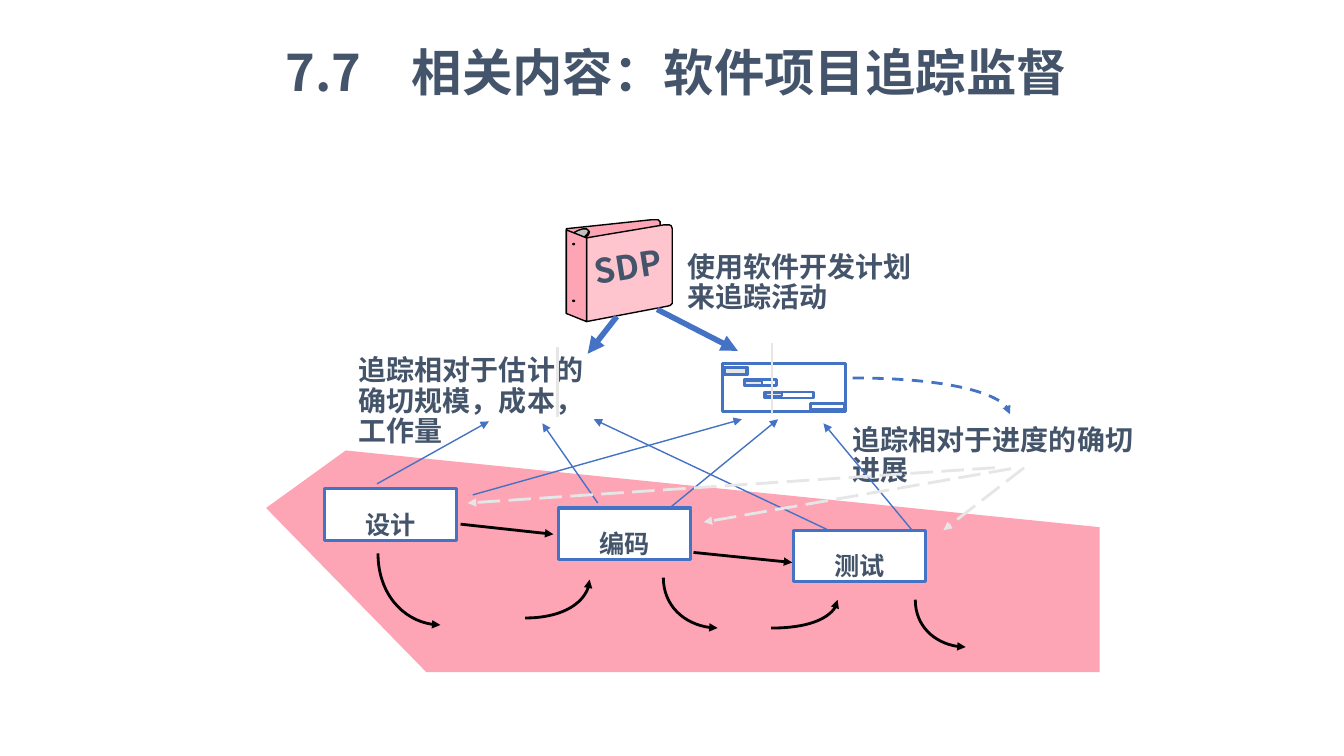
"""Build the slide on software project tracking and oversight."""
import dataclasses

import lxml.etree
import pptx
import pptx.dml.color
import pptx.enum.dml
import pptx.enum.shapes
import pptx.enum.text
import pptx.oxml.ns
import pptx.util

Pt = pptx.util.Pt
qn = pptx.oxml.ns.qn
SHAPE = pptx.enum.shapes.MSO_SHAPE
DASH = pptx.enum.dml.MSO_LINE
ALIGN = pptx.enum.text.PP_ALIGN
ANCHOR = pptx.enum.text.MSO_ANCHOR


@dataclasses.dataclass(frozen=True)
class Theme:
    font: str = "Noto Sans CJK SC"
    ink: str = "44546A"
    blue: str = "4472C4"
    pale: str = "E7E6E6"
    pink: str = "FDA4B5"
    cover: str = "FFC5CF"
    grey: str = "808080"
    silver: str = "C0C0C0"
    black: str = "000000"
    white: str = "FFFFFF"
    title: int = 36
    binder: int = 24
    note: int = 20
    step: int = 18


theme = Theme()
rgb = pptx.dml.color.RGBColor.from_string


def paint(item, fill=None, line=None, width=1, dash=None, arrow=False):
    """Set fill, line, arrowhead and the absence of a shadow."""
    if line:
        item.line.color.rgb = rgb(line)
        item.line.width = Pt(width)
        if dash:
            item.line.dash_style = dash
    else:
        item.line.fill.background()
    properties = item._element.spPr
    if arrow:
        lxml.etree.SubElement(properties.find(qn("a:ln")), qn("a:tailEnd"), type="triangle")
    if hasattr(item, "fill"):
        if fill:
            item.fill.solid()
            item.fill.fore_color.rgb = rgb(fill)
        else:
            item.fill.background()
    lxml.etree.SubElement(properties, qn("a:effectLst"))


def write(item, text, size, spacing=None, align=ALIGN.LEFT, anchor=ANCHOR.TOP):
    """Fill a shape with one styled paragraph."""
    frame = item.text_frame
    frame.text = text
    frame.word_wrap = True
    frame.auto_size = pptx.enum.text.MSO_AUTO_SIZE.NONE
    frame.vertical_anchor = anchor
    paragraph = frame.paragraphs[0]
    paragraph.alignment = align
    paragraph.line_spacing = spacing
    font = paragraph.runs[0].font
    font.name, font.size, font.bold = theme.font, Pt(size), True
    font.color.rgb = rgb(theme.ink)
    properties = paragraph.runs[0]._r.get_or_add_rPr()
    lxml.etree.SubElement(properties, qn("a:ea"), typeface=theme.font)


deck = pptx.Presentation()
deck.slide_width, deck.slide_height = Pt(960), Pt(540)
slide = deck.slides.add_slide(deck.slide_layouts[5])
shapes = slide.shapes

title = shapes.title
title.left, title.top, title.width, title.height = Pt(134), Pt(26), Pt(698), Pt(50)
write(title, "7.7　相关内容：软件项目追踪监督", theme.title, align=ALIGN.CENTER, anchor=ANCHOR.MIDDLE)

ring = [(409.7, 166.3), (413, 164.6), (416.2, 163.5), (419, 163.5), (420.5, 165), (419.8, 167), (416.9, 169.9)]
outlines = [
    ([(247, 321.8), (190.1, 362.9), (304.6, 480.2), (785.5, 480.2), (785.5, 376.6)], theme.pink, None),
    ([(404.6, 163.4), (465.1, 157), (470.2, 157), (471.6, 158.4), (471.6, 215.3), (404.6, 223.9)],
     theme.pink, theme.black),
    ([(419, 169.9), (419, 229.7), (475.9, 218.9), (478.8, 218.2), (480.2, 216.7), (480.2, 163.4),
      (479.5, 161.3), (478.1, 160.6), (474.5, 160.6)], theme.cover, theme.black),
    ([(x + 0.6, y + 0.6) for x, y in ring], theme.grey, theme.black),
    (ring, theme.silver, theme.black),
    ([(404.6, 164.2), (404.6, 223.9), (419, 229.7), (419, 169.9)], theme.pink, theme.black),
]
for corners, fill, line in outlines:
    points = [(Pt(x), Pt(y)) for x, y in corners]
    builder = shapes.build_freeform(*points[0], scale=1.0)
    builder.add_line_segments(points[1:], close=True)
    paint(builder.convert_to_shape(), fill, line)

for y in (174, 214.5):
    hole = shapes.add_shape(SHAPE.OVAL, Pt(409.2), Pt(y), Pt(1.2), Pt(0.8))
    paint(hole, theme.silver, theme.black)

binder_label = shapes.add_textbox(Pt(417.6), Pt(174.2), Pt(74.9), Pt(33.1))
binder_label.rotation = 351
write(binder_label, "SDP", theme.binder, 0.9)

schedule_frame = [(516.2, 259.9, 87.8, 33.8)]
planned_bars = [(517, 262.8, 17.3, 5), (531.4, 271.4, 23, 4.3), (545.8, 280.1, 35.3, 4.3), (578.9, 288, 24.5, 4.3)]
done_bars = [(518.4, 262.8, 14.4, 4.3), (532.1, 272.2, 12.2, 2.9), (547.2, 280.8, 11.5, 2.2)]
for bars, fill, width in ((schedule_frame + planned_bars, None, 2), (done_bars, theme.pale, 1)):
    for bar in bars:
        paint(shapes.add_shape(SHAPE.RECTANGLE, *map(Pt, bar)), fill, theme.blue, width)

notes = [
    ("使用软件开发计划来追踪活动", 461.5, 177.1, 215.3, 50.4),
    ("追踪相对于进度的确切进展", 579.6, 301, 252, 50.4),
    ("追踪相对于估计的确切规模，成本，工作量", 226.8, 251.3, 213.1, 72.7),
]
for text, *place in notes:
    note = shapes.add_textbox(*map(Pt, place))
    write(note, text, theme.note, 0.9)
    note.text_frame.margin_left = Pt(29.5)

line_groups = [
    (theme.blue, 4, None, True, [(440.6, 226.1, 419.8, 252.7), (469.4, 221, 527, 250.6)]),
    (theme.blue, 1, None, True, [
        (269.3, 345.6, 349.2, 301), (337.7, 353.5, 529.9, 299.5), (427, 359.3, 387.4, 302.4),
        (477.4, 363.6, 555.8, 299.5), (591.8, 378.7, 424.1, 299.5), (650.9, 378, 588.2, 302.4)]),
    (theme.black, 2, None, True, [(329, 374.4, 395.3, 381.6), (495.4, 394.6, 565.9, 401.8)]),
    (theme.pale, 2, None, False, [(551.5, 295.9, 551.5, 244.8), (398.2, 298.1, 398.2, 247.7)]),
    (theme.pale, 2, DASH.LONG_DASH, True, [
        (710.6, 334.1, 334.1, 359.3), (722.2, 334.8, 502.6, 373), (731.5, 334.1, 673.9, 378.7)]),
]
for color, width, dash, arrow, ends in line_groups:
    for end in ends:
        link = shapes.add_connector(pptx.enum.shapes.MSO_CONNECTOR.STRAIGHT, *map(Pt, end))
        paint(link, None, color, width, dash, arrow)

falling = [(270, 395.3, 314.6, 446.4), (473.8, 412.6, 512.6, 448.6), (653.8, 428.4, 689.8, 462.2)]
rising = [(375.1, 441.4, 421.2, 414), (550.8, 448.6, 598.3, 428.4)]
to_progress = [(609.1, 270, 721.4, 295.9)]
for arcs, vertical_first, color, dash in (
        (falling, True, theme.black, None),
        (rising, False, theme.black, None),
        (to_progress, False, theme.blue, DASH.DASH)):
    for x0, y0, x1, y1 in arcs:
        corner_x, corner_y = (x0, y1) if vertical_first else (x1, y0)
        handles = [(x + 0.55 * (corner_x - x), y + 0.55 * (corner_y - y)) for x, y in ((x0, y0), (x1, y1))]
        builder = shapes.build_freeform(Pt(x0), Pt(y0), scale=1.0)
        builder.add_line_segments([(Pt(x), Pt(y)) for x, y in handles + [(x1, y1)]], close=False)
        arc = builder.convert_to_shape()
        segments = list(arc._element.iter(qn("a:lnTo")))
        bezier = lxml.etree.SubElement(segments[0].getparent(), qn("a:cubicBezTo"))
        for segment in segments:
            bezier.append(segment[0])
            segment.getparent().remove(segment)
        paint(arc, None, color, 2, dash, arrow=True)

for text, x, y in (("设计", 231.8, 349.2), ("编码", 399.2, 362.9), ("测试", 566.6, 378.7)):
    step = shapes.add_shape(SHAPE.RECTANGLE, Pt(x), Pt(y), Pt(94.3), Pt(36.7))
    paint(step, theme.white, theme.blue, 2.25)
    write(step, text, theme.step, 1.5, ALIGN.CENTER)

deck.save("out.pptx")
